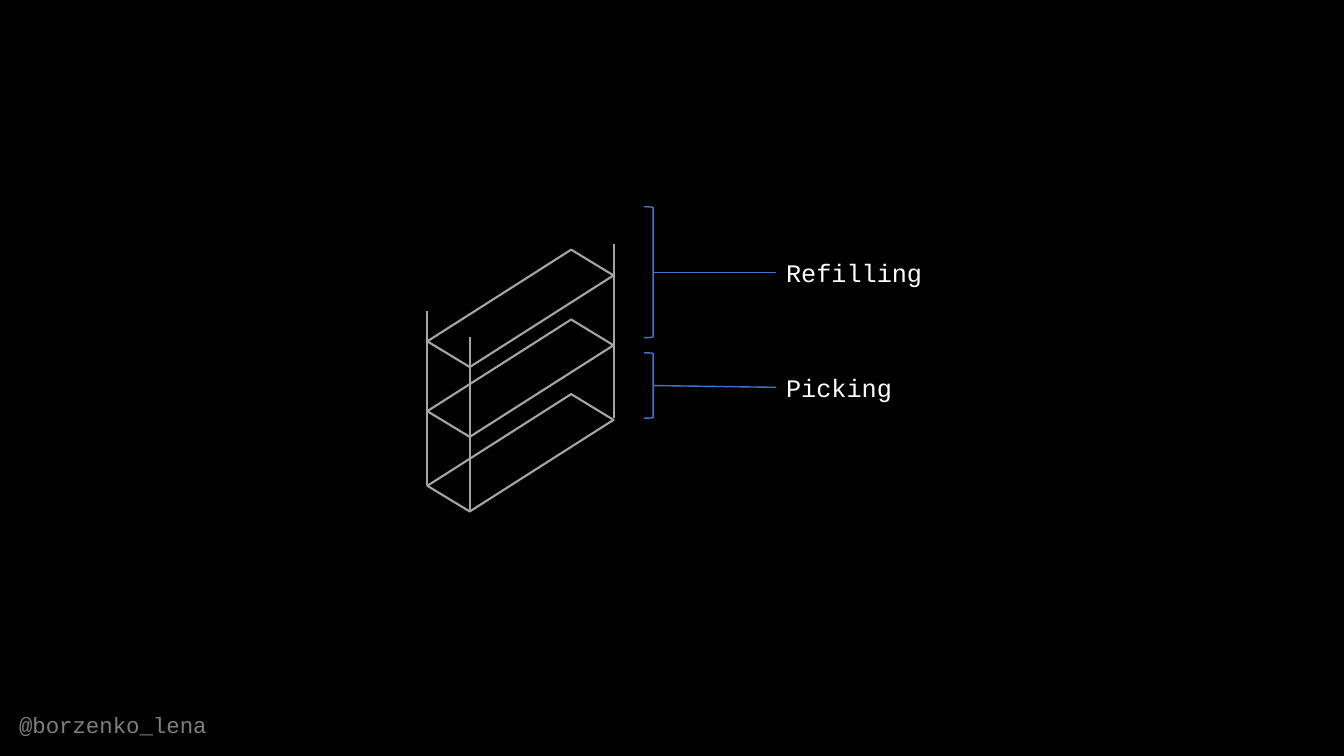
from lxml.etree import SubElement
from pptx import Presentation
from pptx.dml.color import RGBColor
from pptx.enum.shapes import MSO_CONNECTOR, MSO_SHAPE
from pptx.enum.text import MSO_ANCHOR
from pptx.oxml.ns import qn
from pptx.util import Cm, Pt

COLOURS = {
    "background": "000000",
    "text": "FFFFFF",
    "rack": "A5A5A5",
    "callout": "4472C4",
}


class RackSlide:
    font_name = "Courier New"

    def __init__(self, slide):
        self.slide = slide
        self.paint(slide.background.fill, "background")

    def paint(self, fill, colour):
        fill.solid()
        fill.fore_color.rgb = RGBColor.from_string(COLOURS[colour])

    def stroke(self, line, colour, weight):
        self.paint(line.fill, colour)
        line.width = Pt(weight)

    def outline(self, preset, left, top, width, height, colour, weight):
        shape = self.slide.shapes.add_shape(
            preset, Cm(left), Cm(top), Cm(width), Cm(height))
        shape.shadow.inherit = False
        shape.fill.background()
        self.stroke(shape.line, colour, weight)
        return shape

    def line(self, start, end, colour, weight):
        connector = self.slide.shapes.add_connector(
            MSO_CONNECTOR.STRAIGHT, *map(Cm, start + end))
        self.stroke(connector.line, colour, weight)
        SubElement(connector._element.spPr, qn("a:effectLst"))

    def text(self, words, left, top, width, height, size):
        box = self.slide.shapes.add_textbox(
            Cm(left), Cm(top), Cm(width), Cm(height))
        box.text_frame.word_wrap = False
        box.text_frame.vertical_anchor = MSO_ANCHOR.MIDDLE
        paragraph = box.text_frame.paragraphs[0]
        paragraph.text = words
        paragraph.font.name = self.font_name
        paragraph.font.size = Pt(size)
        self.paint(paragraph.font.fill, "text")
        return box

    def handle(self, words):
        """Add the half-transparent author handle in the bottom corner."""
        box = self.text(words, 0.23, 17.75, 5.44, 1.02, 16)
        self.paint(box.fill, "background")
        font = box.text_frame.paragraphs[0].font
        for colour in font._element.iter(qn("a:srgbClr")):
            SubElement(colour, qn("a:alpha"), val="50000")

    def shelf(self, top):
        board = self.outline(
            MSO_SHAPE.PARALLELOGRAM, 10.69, top, 4.85, 1.12, "rack", 1.5)
        board.adjustments[0] = 0.493
        board.rotation = 147.5
        board._element.spPr.get_or_add_xfrm().set("flipV", "1")

    def post(self, x, foot):
        self.line((x, foot), (x, foot - 4.39), "rack", 1.5)

    def callout(self, words, bracket_top, bracket_height, label_top, label_width):
        """Add a bracket, its label and the line that joins their middles."""
        bracket_left, bracket_width = 16.23, 0.23
        label_left, label_height = 19.56, 1.02
        self.outline(MSO_SHAPE.RIGHT_BRACKET, bracket_left, bracket_top,
                     bracket_width, bracket_height, "callout", 1)
        self.text(words, label_left, label_top, label_width, label_height, 18)
        self.line((bracket_left + bracket_width, bracket_top + bracket_height / 2),
                  (label_left, label_top + label_height / 2), "callout", 1)


def main():
    presentation = Presentation()
    presentation.slide_width = Cm(33.87)
    presentation.slide_height = Cm(19.05)
    blank = presentation.slide_layouts[6]
    rack = RackSlide(presentation.slides.add_slide(blank))

    rack.handle("@borzenko_lena")
    for shelf_top in (10.85, 8.97, 7.21):
        rack.shelf(shelf_top)
    for x, foot in ((10.77, 12.22), (11.84, 12.88), (15.47, 10.54)):
        rack.post(x, foot)
    rack.callout("Refilling", 5.21, 3.3, 6.35, 3.96)
    rack.callout("Picking", 8.89, 1.65, 9.25, 3.2)

    presentation.save("out.pptx")


if __name__ == "__main__":
    main()
